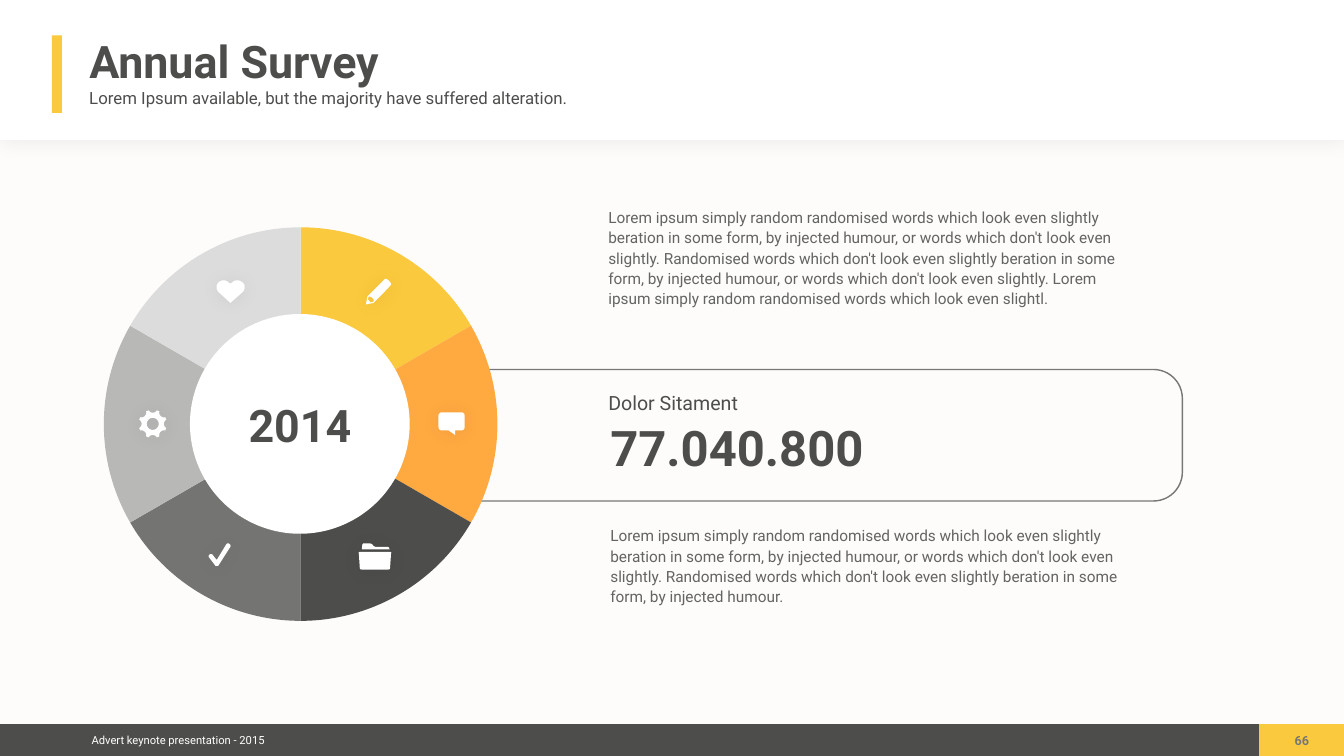
import math
from dataclasses import dataclass

import pptx
import pptx.chart.data
import pptx.dml.color
import pptx.enum.chart
import pptx.enum.shapes
import pptx.enum.text
import pptx.oxml
import pptx.oxml.ns
import pptx.util
from lxml import etree

Pt = pptx.util.Pt
qn = pptx.oxml.ns.qn
RGB = pptx.dml.color.RGBColor.from_string
SHAPE = pptx.enum.shapes.MSO_SHAPE
ALIGN = pptx.enum.text.PP_ALIGN
ANCHOR = pptx.enum.text.MSO_ANCHOR


@dataclass
class Theme:
    font: str = "Roboto"
    paper: str = "FDFCFB"
    white: str = "FFFFFF"
    dark: str = "4D4E4C"
    body: str = "636463"
    gray: str = "777776"
    yellow: str = "FAC93D"
    slices: tuple = ("FAC93D", "FFA941", "4D4E4C", "3A3B39", "B8B9B7", "DBDCDB")
    number_size: int = 70
    title_size: int = 64
    label_size: int = 28
    subtitle_size: int = 24
    body_size: int = 22
    page_size: int = 18
    footer_size: int = 16


# An icon is a list of contours; each holds (x, y) corners and
# (x1, y1, x2, y2, x, y) curves, in points.
HEART = [[(37.4, 17.3), (20.2, 32.4), (3.6, 17.3), (-0.7, 13, -0.7, 6.5, 3.6, 2.9),
          (7.2, -0.7, 13.7, -0.7, 17.3, 2.9), (20.2, 5), (23, 2.9),
          (26.6, -0.7, 33.1, -0.7, 37.4, 2.9), (41.8, 6.5, 41.8, 13, 37.4, 17.3)]]
PENCIL = [[(10.1, 33.1), (6.5, 33.8), (6.5, 33.1, 5.8, 32.4, 5, 31.7),
           (4.3, 31, 3.6, 30.2, 2.9, 30.2), (3.6, 25.9), (5, 25.2),
           (5, 25.2, 6.5, 25.2, 9.4, 27.4), (11.5, 29.5, 11.5, 31.7, 11.5, 31.7)],
          [(33.1, 2.9), (30.2, 0, 27.4, 0, 27.4, 0), (2.2, 25.2), (0, 36.7),
           (10.8, 34.6), (24.5, 20.9), (36, 8.6), (36, 8.6, 36.7, 6.5, 33.1, 2.9)]]
FOLDER = [[(7.2, 0), (6.5, 0, 5, 0.7, 5, 2.2), (4.3, 8.6), (43.9, 8.6), (43.2, 6.5),
           (43.2, 5.8, 41.8, 5, 40.3, 5), (24.5, 5), (23, 5, 21.6, 4.3, 20.2, 2.9),
           (19.4, 1.4), (18, 0.7, 16.6, 0, 15.1, 0)],
          [(2.2, 12.2), (0, 12.2, -0.7, 13, 0, 14.4), (1.4, 35.3),
           (1.4, 36.7, 2.2, 37.4, 4.3, 37.4), (41.8, 37.4),
           (43.9, 37.4, 44.6, 36.7, 44.6, 35.3), (46.1, 14.4),
           (46.8, 13, 46.1, 12.2, 43.9, 12.2)]]
CHECK = [[(9.4, 31.7), (0.7, 20.2), (-0.7, 18.7, 0, 17.3, 1.4, 15.8),
          (2.9, 15.1, 5, 15.1, 5.8, 16.6), (11.5, 23.8), (25.2, 1.4),
          (25.9, 0, 28.1, -0.7, 29.5, 0.7), (31, 1.4, 31.7, 3.6, 31, 5),
          (14.4, 31), (13.7, 32.4, 13, 32.4, 11.5, 32.4),
          (10.8, 32.4, 9.4, 32.4, 9.4, 31.7)]]
BUBBLE = [[(37.4, 4.3), (37.4, 20.9), (37.4, 23.8, 35.3, 25.9, 33.1, 25.9),
           (23.8, 25.9), (23.8, 32.4), (14.4, 25.9), (5, 25.9),
           (2.2, 25.9, 0, 23.8, 0, 20.9), (0, 4.3), (0, 2.2, 2.2, 0, 5, 0),
           (33.1, 0), (35.3, 0, 37.4, 2.2, 37.4, 4.3)]]


def polar(radius, degrees):
    a = math.radians(degrees)
    return radius * math.cos(a), radius * math.sin(a)


def gear(teeth=8, outer=20.2, valley=15.2, hole=8.6):
    """Contours of a cog around (0, 0) with a round hole."""
    rim = []
    for a in (i * 360 / teeth for i in range(teeth)):
        rim += [polar(outer, a - 17),
                polar(valley, a - 14) + polar(valley, a + 14) + polar(outer, a + 17)]
    return [rim, [polar(hole, -a) for a in range(0, 360, 12)]]


def flatten(contour, steps=8):
    """Turn the curves of a contour into short straight segments."""
    pts = [contour[0]]
    for seg in contour[1:]:
        if len(seg) == 2:
            pts.append(seg)
            continue
        ctrl = [pts[-1], seg[:2], seg[2:4], seg[4:]]
        for t in (i / steps for i in range(1, steps + 1)):
            w = ((1 - t) ** 3, 3 * t * (1 - t) ** 2, 3 * t * t * (1 - t), t ** 3)
            pts.append(tuple(sum(k * c[axis] for k, c in zip(w, ctrl)) for axis in (0, 1)))
    return [(Pt(x), Pt(y)) for x, y in pts]


class Deck:
    def __init__(self, prs, theme):
        self.theme = theme
        self.s = prs.slides.add_slide(prs.slide_layouts[5])
        self.s.background.fill.solid()
        self.s.background.fill.fore_color.rgb = RGB(theme.paper)

    def paint(self, sp, fill=None, line=None, shadow=False):
        sp.shadow.inherit = False
        if fill:
            sp.fill.solid()
            sp.fill.fore_color.rgb = RGB(fill)
        else:
            sp.fill.background()
        if line:
            sp.line.color.rgb = RGB(line)
            sp.line.width = Pt(2)
        else:
            sp.line.fill.background()
        if shadow:
            effects = sp._element.spPr.find(qn("a:effectLst"))
            outer = etree.SubElement(effects, qn("a:outerShdw"), blurRad=str(Pt(26)),
                                     dist=str(Pt(2)), dir="5400000", rotWithShape="0")
            color = etree.SubElement(outer, qn("a:srgbClr"), val="000000")
            etree.SubElement(color, qn("a:alpha"), val="5000")

    def shape(self, kind, box, **style):
        sp = self.s.shapes.add_shape(kind, *map(Pt, box))
        self.paint(sp, **style)
        return sp

    def icon(self, contours, x, y):
        first, *rest = map(flatten, contours)
        fb = self.s.shapes.build_freeform(*first[0])
        fb.add_line_segments(first[1:])
        for pts in rest:
            fb.move_to(*pts[0])
            fb.add_line_segments(pts[1:])
        self.paint(fb.convert_to_shape(Pt(x), Pt(y)), self.theme.white, shadow=True)

    def set_text(self, sp, text, size, color, bold=False, align=ALIGN.LEFT,
                 anchor=ANCHOR.TOP, inset=0, wrap=True, spacing=None):
        tf = sp.text_frame
        margins = {f"margin_{side}": Pt(inset) for side in ("left", "top", "right", "bottom")}
        frame = {"word_wrap": wrap, "vertical_anchor": anchor,
                 "auto_size": pptx.enum.text.MSO_AUTO_SIZE.NONE, **margins}
        p = tf.paragraphs[0]
        r = p.add_run()
        r.text = text
        font = {"name": self.theme.font, "size": Pt(size), "bold": bold}
        para = {"alignment": align, "line_spacing": spacing}
        for target, values in ((tf, frame), (p, para), (r.font, font)):
            for name, value in values.items():
                setattr(target, name, value)
        r.font.color.rgb = RGB(color)

    def text(self, box, *args, **style):
        self.set_text(self.s.shapes.add_textbox(*map(Pt, box)), *args, **style)

    def title(self, box, *args, **style):
        sp = self.s.shapes.title
        sp.left, sp.top, sp.width, sp.height = map(Pt, box)
        self.s.shapes._spTree.append(sp._element)  # in front of the header band
        self.set_text(sp, *args, **style)

    def pie(self, box, name, values):
        data = pptx.chart.data.CategoryChartData()
        data.categories = [str(i + 1) for i in range(len(values))]
        data.add_series(name, values)
        chart = self.s.shapes.add_chart(pptx.enum.chart.XL_CHART_TYPE.PIE,
                                        *map(Pt, box), data).chart
        chart.has_title = chart.has_legend = False
        chart.font.name, chart.font.size = self.theme.font, Pt(10)
        chart.font.color.rgb = RGB(self.theme.white)
        plot = chart.plots[0]
        plot.vary_by_categories = False
        for i, color in enumerate(self.theme.slices):
            fmt = plot.series[0].points[i].format
            fmt.fill.solid()
            fmt.fill.fore_color.rgb = RGB(color)
            fmt.line.fill.background()
            if i == 3:
                clr = fmt.fill._xPr.find(".//" + qn("a:srgbClr"))
                etree.SubElement(clr, qn("a:alpha"), val="70000")
        area = chart._chartSpace.chart.plotArea
        for old in area.findall(qn("c:layout")):
            area.remove(old)
        layout = etree.Element(qn("c:layout"))
        manual = etree.SubElement(layout, qn("c:manualLayout"))
        for tag, val in (("layoutTarget", "inner"), ("xMode", "edge"), ("yMode", "edge"),
                         ("x", "0"), ("y", "0"), ("w", "1"), ("h", "1")):
            etree.SubElement(manual, qn("c:" + tag), val=val)
        area.insert(0, layout)


def main():
    prs = pptx.Presentation()
    prs.slide_width, prs.slide_height = Pt(1920), Pt(1080)
    t = Theme()
    d = Deck(prs, t)
    middle = {"anchor": ANCHOR.MIDDLE, "wrap": False}

    d.shape(SHAPE.RECTANGLE, (0, 0, 1920, 200), fill=t.white, shadow=True)
    d.shape(SHAPE.RECTANGLE, (0, 1034.6, 1920, 45.4), fill=t.dark)
    d.text((123.1, 1041.1, 262.8, 32.4), "Advert keynote presentation - 2015",
           t.footer_size, t.white, align=ALIGN.CENTER, inset=5.8, **middle)
    d.shape(SHAPE.RECTANGLE, (1798.6, 1034.6, 121.4, 45.4), fill=t.yellow)
    d.shape(SHAPE.RECTANGLE, (74.2, 50.4, 14.4, 111), fill=t.yellow)
    d.title((121.7, 38.9, 427, 95), "Annual Survey", t.title_size, t.dark,
            bold=True, inset=5.8, **middle)
    d.text((121.7, 120.2, 773.3, 43.2),
           "Lorem Ipsum available, but the majority have suffered alteration.",
           t.subtitle_size, t.dark, inset=5.8)
    d.text((1843.2, 1041.8, 33.1, 35.3), "66", t.page_size, t.gray, bold=True,
           align=ALIGN.CENTER, inset=5.8, wrap=False)

    panel = d.shape(SHAPE.ROUNDED_RECTANGLE, (619.2, 527.8, 1069.9, 187.9), line=t.gray)
    panel.adjustments[0] = 0.22
    lorem = ("Lorem ipsum simply random randomised words which look even slightly beration in "
             "some form, by injected humour, or words which don't look even slightly. "
             "Randomised words which don't look even slightly beration in some form, "
             "by injected humour")
    more = (", or words which don't look even slightly. Lorem ipsum simply random "
            "randomised words which look even slightl.")
    d.text((869, 294.5, 747.4, 228.2), lorem + more, t.body_size, t.body, spacing=1.1)
    d.text((871.9, 589, 370.8, 100.1), "77.040.800", t.number_size, t.dark, bold=True, **middle)
    d.text((869, 553, 198, 45.4), "Dolor Sitament", t.label_size, t.dark, **middle)
    d.text((871.9, 749.5, 747.4, 140.4), lorem + ".", t.body_size, t.body, spacing=1.1)

    d.pie((148.3, 324.7, 562.3, 562.3), "Region 1", [17] * 6)
    d.shape(SHAPE.OVAL, (271.4, 448.6, 313.9, 313.9), fill=t.white)
    d.text((334.1, 550.1, 188.6, 111.6), "2014", t.title_size, t.dark, bold=True,
           align=ALIGN.CENTER, anchor=ANCHOR.MIDDLE)
    for contours, x, y in ((HEART, 308.9, 400.3), (gear(), 218.2, 605.5),
                           (PENCIL, 522.7, 398.2), (FOLDER, 512.6, 776.2),
                           (CHECK, 298.1, 776.2), (BUBBLE, 626.4, 589)):
        d.icon(contours, x, y)
    prs.save("out.pptx")


if __name__ == "__main__":
    main()
